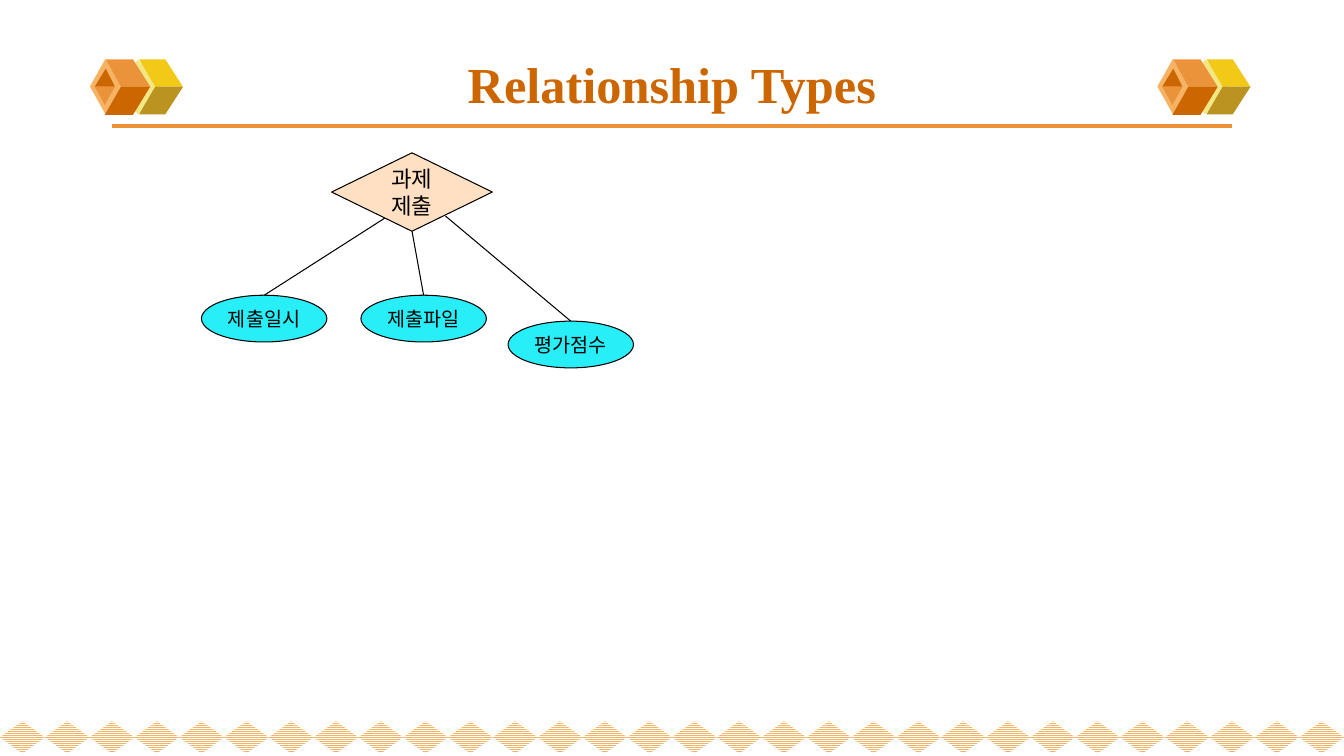
"""Build the Relationship Types slide: one relationship with three attributes."""
import pptx
import pptx.dml.color
import pptx.enum.dml
import pptx.enum.shapes
import pptx.enum.text
import pptx.oxml.ns
import pptx.util
from lxml import etree

Pt = pptx.util.Pt
SHAPES = pptx.enum.shapes.MSO_SHAPE

HEADING = {"text": ["Relationship Types"], "box": (48, 28.8, 864, 61.2)}
RELATIONSHIP = {"text": ["과제", "제출"], "box": (236.9, 109.2, 114.8, 56)}
ATTRIBUTES = [
    {"text": ["제출일시"], "left": 143.9, "top": 210.9, "link_from": (277.2, 154.3)},
    {"text": ["평가점수"], "left": 362.9, "top": 229.4, "link_from": (318.2, 154.3)},
    {"text": ["제출파일"], "left": 257.8, "top": 210.9, "link_from": (294.3, 165.2)},
]
ATTRIBUTE_SIZE = (89.6, 33.4)

HEADING_FONT = {"name": "Times New Roman", "size": Pt(36), "bold": True}
RELATIONSHIP_FONT = {"name": "Noto Sans CJK KR", "size": Pt(16)}
ATTRIBUTE_FONT = {"name": "Noto Sans CJK KR", "size": Pt(14)}
HEADING_FRAME = {"word_wrap": True}
NODE_FRAME = {"word_wrap": True, "margin_left": Pt(2.9), "margin_right": Pt(2.9),
              "margin_top": Pt(2.9), "margin_bottom": Pt(2.9)}

RULE = ((80, 90), (880, 90))
CUBE_OFFSETS = (0, 762.5)
CUBE_FACES = [
    ("F1E785", "diamond", (82.8, 42.5, 31.7, 39.4)),
    ("F3C917", "outline", [(110.9, 61.9), (130.6, 61.9), (118.1, 42.4), (99.4, 42.4)]),
    ("BB9321", "outline", [(110.9, 61.9), (130.8, 61.9), (118.1, 81.6), (99.4, 81.6)]),
    ("F5B363", "diamond", (64.2, 42, 22.3, 39.6)),
    ("EB933B", "outline", [(86.4, 61.9), (107.3, 61.9), (95, 42.4), (75.6, 42.4)]),
    ("CC6600", "outline", [(86.4, 61.9), (107.3, 61.9), (95, 82), (74.9, 82)]),
    ("CC6600", "outline", [(75.6, 49), (67.7, 61.9), (82.1, 61.9)]),
    ("EB933B", "outline", [(74.9, 74.9), (67.7, 61.9), (82.1, 61.9)]),
]
BORDER_COUNT, BORDER_TOP, BORDER_HEIGHT = 30, 515.2, 23

deck = pptx.Presentation()
deck.slide_width, deck.slide_height = Pt(960), Pt(540)
slide = deck.slides.add_slide(deck.slide_layouts[6])


def paint(color_format, hex_color):
    color_format.rgb = pptx.dml.color.RGBColor.from_string(hex_color)


def finish(shape, fill, outline=None):
    shape.shadow.inherit = False
    shape.fill.solid()
    paint(shape.fill.fore_color, fill)
    if outline:
        paint(shape.line.color, outline)
        shape.line.width = Pt(0.75)
    else:
        shape.line.fill.background()


def add_preset(kind, box):
    return slide.shapes.add_shape(kind, *map(Pt, box))


def add_outline(points, fill):
    corners = [(Pt(x), Pt(y)) for x, y in points]
    builder = slide.shapes.build_freeform(*corners[0])
    builder.add_line_segments(corners[1:], close=True)
    finish(builder.convert_to_shape(), fill)


def add_link(start, end, color, width):
    link = slide.shapes.add_connector(
        pptx.enum.shapes.MSO_CONNECTOR.STRAIGHT, *map(Pt, start + end))
    paint(link.line.color, color)
    link.line.width = Pt(width)
    etree.SubElement(link._element.spPr, pptx.oxml.ns.qn("a:effectLst"))


def write(shape, lines, font, frame_format, color):
    frame = shape.text_frame
    frame.vertical_anchor = pptx.enum.text.MSO_ANCHOR.MIDDLE
    for key, value in frame_format.items():
        setattr(frame, key, value)
    for index, line in enumerate(lines):
        paragraph = frame.add_paragraph() if index else frame.paragraphs[0]
        paragraph.alignment = pptx.enum.text.PP_ALIGN.CENTER
        run = paragraph.add_run()
        run.text = line
        for key, value in font.items():
            setattr(run.font, key, value)
        paint(run.font.color, color)
        east_asian = etree.SubElement(run.font._element, pptx.oxml.ns.qn("a:ea"))
        east_asian.set("typeface", font["name"])


pitch = 960 / BORDER_COUNT
for place in range(BORDER_COUNT):
    tile = add_preset(SHAPES.DIAMOND, (place * pitch, BORDER_TOP, pitch, BORDER_HEIGHT))
    tile.shadow.inherit = False
    tile.line.fill.background()
    tile.fill.patterned()
    tile.fill.pattern = pptx.enum.dml.MSO_PATTERN.NARROW_HORIZONTAL
    paint(tile.fill.fore_color, "F5B363")
    paint(tile.fill.back_color, "FFFFFF")

add_link(*RULE, "EB933B", 2.25)
for offset in CUBE_OFFSETS:
    for color, form, geometry in CUBE_FACES:
        if form == "diamond":
            left, *rest = geometry
            finish(add_preset(SHAPES.DIAMOND, (left + offset, *rest)), color)
        else:
            add_outline([(x + offset, y) for x, y in geometry], color)

heading = slide.shapes.add_textbox(*map(Pt, HEADING["box"]))
write(heading, HEADING["text"], HEADING_FONT, HEADING_FRAME, "CC6600")

for attribute in ATTRIBUTES:
    oval = add_preset(SHAPES.OVAL, (attribute["left"], attribute["top"], *ATTRIBUTE_SIZE))
    finish(oval, "28EEF8", "000000")
    write(oval, attribute["text"], ATTRIBUTE_FONT, NODE_FRAME, "000000")
for attribute in ATTRIBUTES:
    oval_top = (attribute["left"] + ATTRIBUTE_SIZE[0] / 2, attribute["top"])
    add_link(attribute["link_from"], oval_top, "000000", 0.75)

relationship = add_preset(SHAPES.FLOWCHART_DECISION, RELATIONSHIP["box"])
finish(relationship, "FFE0C2", "000000")
write(relationship, RELATIONSHIP["text"], RELATIONSHIP_FONT, NODE_FRAME, "000000")

deck.save("out.pptx")
